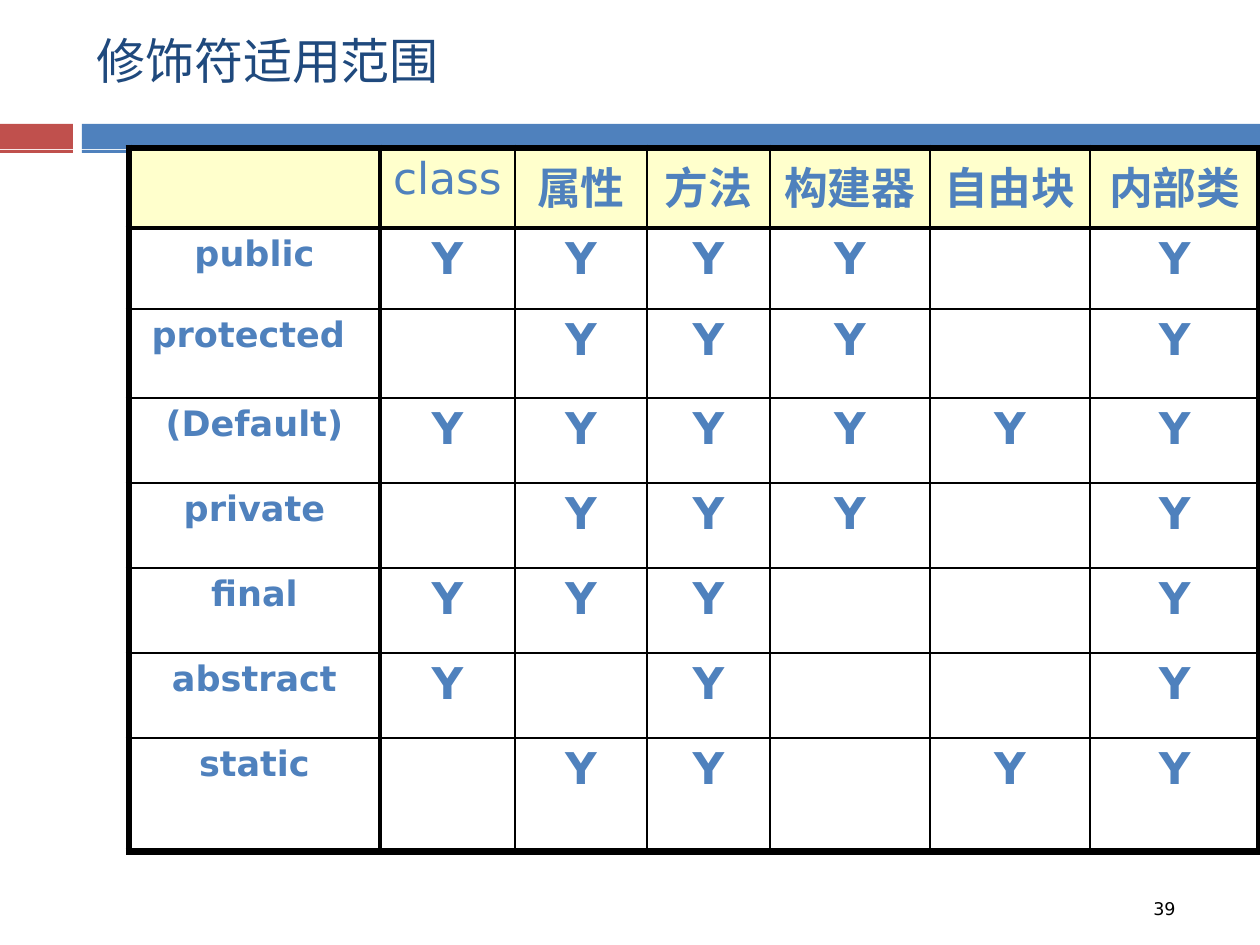
from dataclasses import dataclass
from lxml.etree import SubElement
from pptx import Presentation
from pptx.dml.color import RGBColor
from pptx.enum.shapes import MSO_SHAPE
from pptx.enum.text import MSO_ANCHOR, PP_ALIGN
from pptx.oxml.ns import qn
from pptx.util import Emu, Pt


@dataclass(frozen=True)
class Theme:
    font: str = "DejaVu Sans"
    red: str = "C0504D"
    blue: str = "4F81BD"
    navy: str = "1F497D"
    cream: str = "FFFFCC"
    black: str = "000000"
    title: int = 28
    mark: int = 25
    label: int = 20
    number: int = 10
    thin: float = 1
    mid: float = 3
    thick: float = 4.5


THEME = Theme()
TITLE = "修饰符适用范围"
NUMBER = "39"
HEADS = ["", "class", "属性", "方法", "构建器", "自由块", "内部类"]
ROWS = [
    ("public", "YYYY-Y"),
    ("protected ", "-YYY-Y"),
    ("(Default)", "YYYYYY"),
    ("private", "-YYY-Y"),
    ("final", "YYY--Y"),
    ("abstract", "Y-Y--Y"),
    ("static", "-YY-YY"),
]
WIDTHS = [251, 135, 132, 123, 160, 160, 170]
HEIGHTS = [80, 81, 89, 85, 85, 85, 85, 114]
LEFT, TOP = 129, 148
STRIPES = [(124, 25), (150, 3)]
BARS = [(0, 73, THEME.red), (82, 1178, THEME.blue)]


def px(n):
    return Emu(n * 914400 // 126)


def write(frame, text, size, color, bold=False, align=PP_ALIGN.LEFT):
    para = frame.paragraphs[0]
    para.alignment = align
    run = para.add_run()
    run.text = text
    font = run.font
    font.name = THEME.font
    font.size = Pt(size)
    font.bold = bold
    font.color.rgb = RGBColor.from_string(color)


def add_text(slide, box, text, size, color, anchor):
    frame = slide.shapes.add_textbox(*map(px, box)).text_frame
    frame.word_wrap = True
    frame.vertical_anchor = anchor
    write(frame, text, size, color)


def add_bar(slide, box, color):
    bar = slide.shapes.add_shape(MSO_SHAPE.RECTANGLE, *map(px, box))
    bar.shadow.inherit = False
    bar.fill.solid()
    bar.fill.fore_color.rgb = RGBColor.from_string(color)
    bar.line.fill.background()


def edge(index, count):
    if index in (0, count):
        return THEME.thick
    return THEME.mid if index == 1 else THEME.thin


def set_edges(cell, row, col):
    rows, cols = len(HEIGHTS), len(WIDTHS)
    sides = {
        "a:lnL": edge(col, cols),
        "a:lnR": edge(col + 1, cols),
        "a:lnT": edge(row, rows),
        "a:lnB": edge(row + 1, rows),
    }
    props = cell._tc.get_or_add_tcPr()
    for place, (tag, width) in enumerate(sides.items()):
        line = SubElement(props, qn(tag), w=str(Pt(width)))
        fill = SubElement(line, qn("a:solidFill"))
        SubElement(fill, qn("a:srgbClr"), val=THEME.black)
        props.insert(place, line)


def add_grid(slide):
    data = [HEADS] + [[name, *marks.replace("-", " ")] for name, marks in ROWS]
    box = (LEFT, TOP, sum(WIDTHS), sum(HEIGHTS))
    table = slide.shapes.add_table(len(data), len(HEADS), *map(px, box)).table
    for col, width in zip(table.columns, WIDTHS):
        col.width = px(width)
    for row, height in zip(table.rows, HEIGHTS):
        row.height = px(height)
    for i, line in enumerate(data):
        for j, text in enumerate(line):
            cell = table.cell(i, j)
            if i == 0:
                cell.fill.solid()
                cell.fill.fore_color.rgb = RGBColor.from_string(THEME.cream)
            else:
                cell.fill.background()
            set_edges(cell, i, j)
            if text.strip():
                size = THEME.label if j == 0 else THEME.mark
                bold = (i, j) != (0, 1)
                write(cell.text_frame, text, size, THEME.blue, bold, PP_ALIGN.CENTER)


def main():
    deck = Presentation()
    deck.slide_width, deck.slide_height = px(1260), px(945)
    slide = deck.slides.add_slide(deck.slide_layouts[6])
    for top, height in STRIPES:
        for left, width, color in BARS:
            add_bar(slide, (left, top, width, height), color)
    add_text(slide, (84, 1, 1124, 118), TITLE, THEME.title, THEME.navy, MSO_ANCHOR.MIDDLE)
    add_grid(slide)
    add_text(slide, (1141, 892, 56, 47), NUMBER, THEME.number, THEME.black, MSO_ANCHOR.TOP)
    deck.save("out.pptx")


if __name__ == "__main__":
    main()
